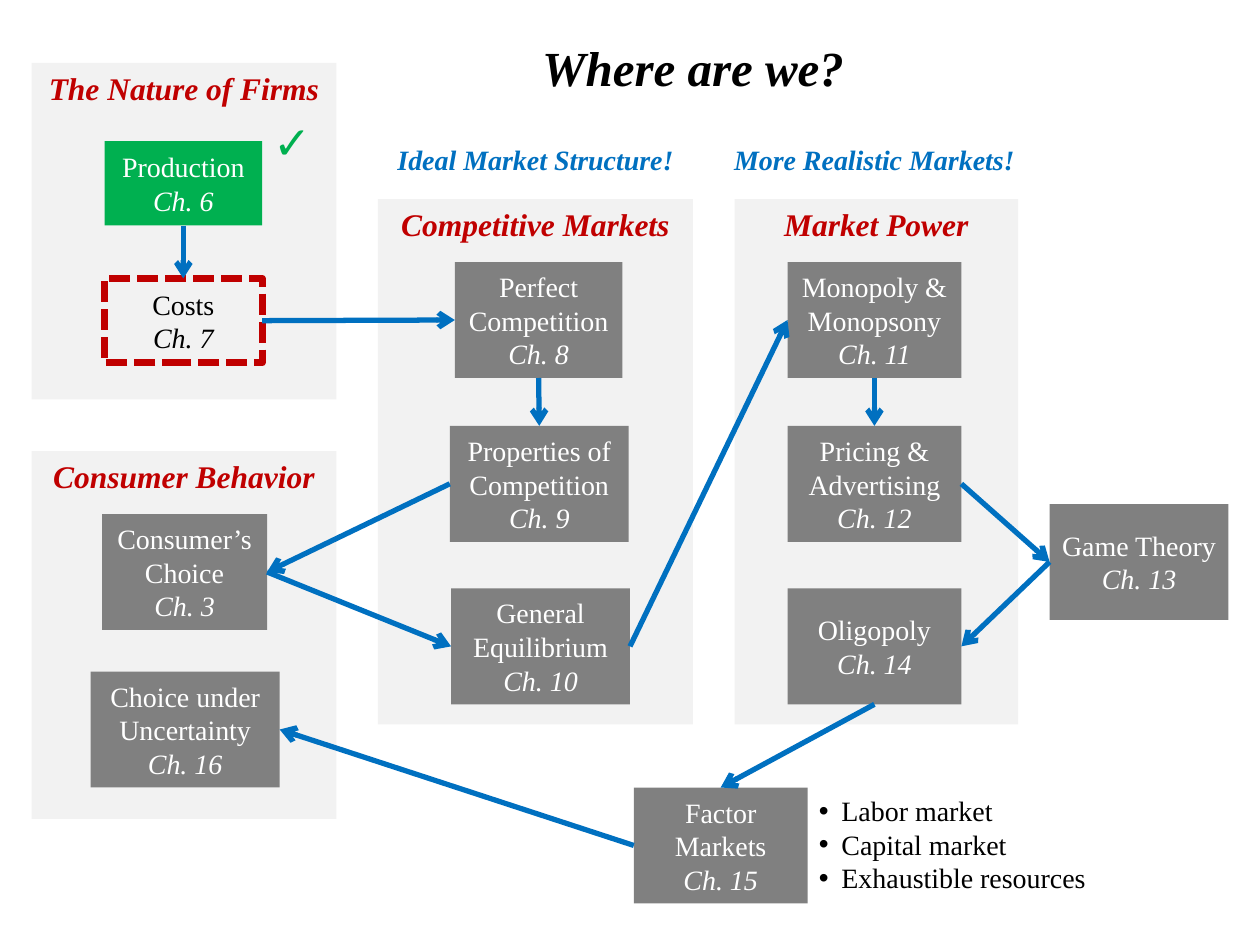
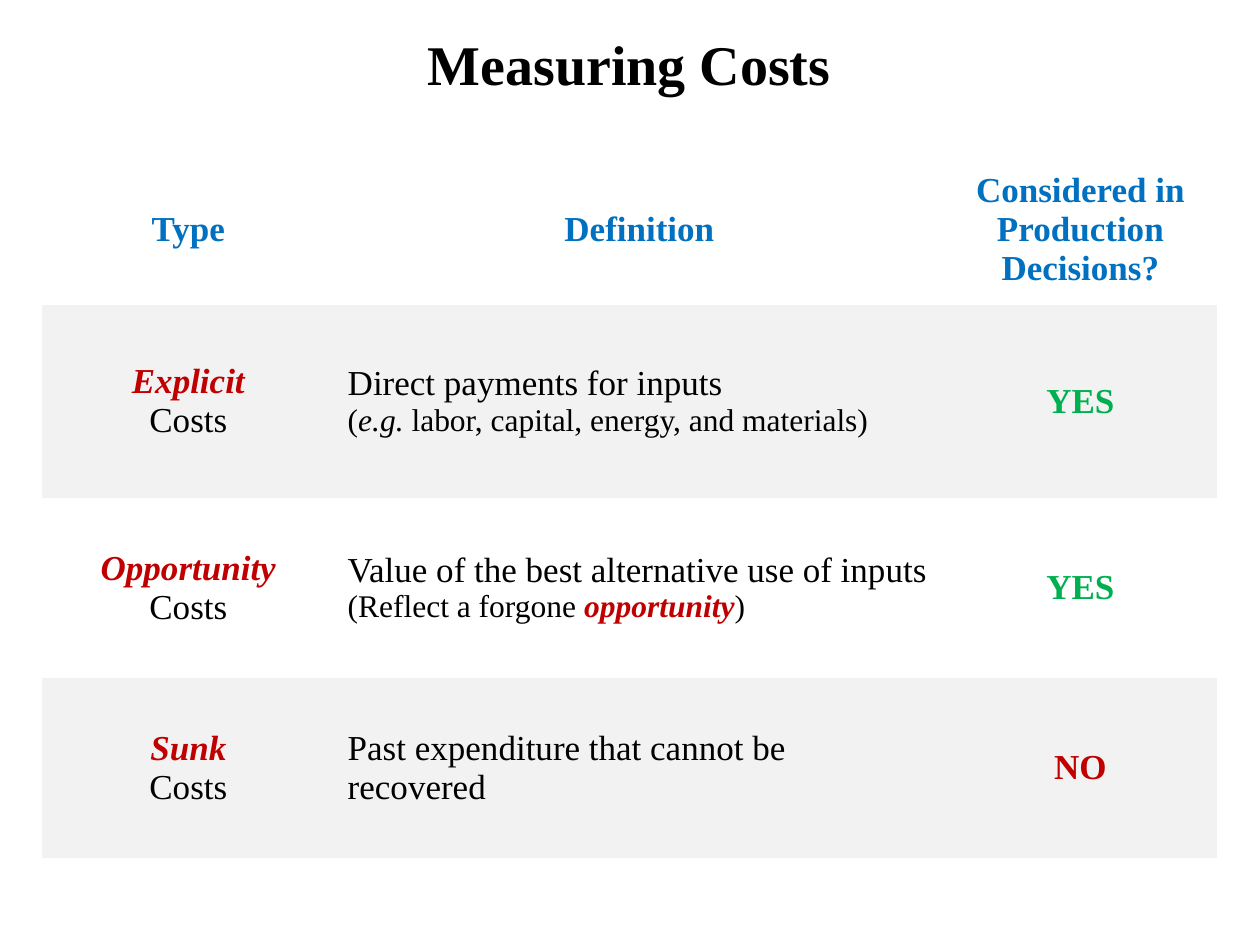
import pptx
import pptx.dml.color
import pptx.enum.dml
import pptx.enum.shapes
import pptx.enum.text
import pptx.oxml.ns
import pptx.util
from lxml import etree

Inches = pptx.util.Inches
RGBColor = pptx.dml.color.RGBColor
PP_ALIGN = pptx.enum.text.PP_ALIGN
MSO_ANCHOR = pptx.enum.text.MSO_ANCHOR
qn = pptx.oxml.ns.qn

BLACK = RGBColor(0x00, 0x00, 0x00)
WHITE = RGBColor(0xFF, 0xFF, 0xFF)
RED = RGBColor(0xC0, 0x00, 0x00)
GREEN = RGBColor(0x00, 0xB0, 0x50)
BLUE = RGBColor(0x00, 0x70, 0xC0)
GRAY = RGBColor(0x80, 0x80, 0x80)
PALE = RGBColor(0xF2, 0xF2, 0xF2)
SERIF = "Times New Roman"
NO_STYLE = "{2D5ABB26-0587-4C30-8999-92F81FD0307C}"


def write(tf, *paragraphs, size=16, color=BLACK, bold=False, italic=False,
          font=SERIF, align=PP_ALIGN.CENTER, bullet=None):
    for i, runs in enumerate(paragraphs):
        p = tf.paragraphs[0] if i == 0 else tf.add_paragraph()
        if bullet:
            pPr = p._p.get_or_add_pPr()
            pPr.set("marL", str(Inches(0.18)))
            pPr.set("indent", str(-Inches(0.18)))
            etree.SubElement(pPr, qn("a:buFont")).set("typeface", "Arial")
            etree.SubElement(pPr, qn("a:buChar")).set("char", bullet)
        p.alignment = align
        for run in [runs] if isinstance(runs, str) else runs:
            text, own = (run, {}) if isinstance(run, str) else run
            r = p.add_run()
            r.text = text
            r.font.name = font
            r.font.size = pptx.util.Pt(own.get("size", size))
            r.font.bold = own.get("bold", bold)
            r.font.italic = own.get("italic", italic)
            r.font.color.rgb = own.get("color", color)


def add_box(s, at, fill=None, anchor=MSO_ANCHOR.MIDDLE):
    sp = s.shapes.add_shape(pptx.enum.shapes.MSO_SHAPE.RECTANGLE, *map(Inches, at))
    sp.shadow.inherit = False
    sp.line.fill.background()
    if fill is None:
        sp.fill.background()
    else:
        sp.fill.solid()
        sp.fill.fore_color.rgb = fill
    sp.text_frame.word_wrap = True
    sp.text_frame.vertical_anchor = anchor
    return sp


prs = pptx.Presentation()
prs.slide_width, prs.slide_height = Inches(10), Inches(7.5)
blank = prs.slide_layouts[6]

s = prs.slides.add_slide(blank)

panels = [
    ("The Nature of Firms", (0.25, 0.5, 2.42, 2.67)),
    ("Consumer Behavior", (0.25, 3.58, 2.42, 2.92)),
    ("Competitive Markets", (3, 1.58, 2.5, 4.17)),
    ("Market Power", (5.83, 1.58, 2.25, 4.17)),
]
for name, at in panels:
    sp = add_box(s, at, PALE, MSO_ANCHOR.TOP)
    write(sp.text_frame, name, size=18, color=RED, bold=True, italic=True)

ROWS = (2.08, 3.38, 4.67)
TALL, SHORT = 0.92, 0.67
chapters = [
    (6, "Production", (0.83, 1.12, 1.25, SHORT)),
    (7, "Costs", (0.83, 2.21, 1.25, SHORT)),
    (8, "Perfect Competition", (3.61, ROWS[0], 1.33, TALL)),
    (9, "Properties of Competition", (3.57, ROWS[1], 1.42, TALL)),
    (10, "General Equilibrium", (3.58, ROWS[2], 1.42, TALL)),
    (3, "Consumer’s Choice", (0.81, 4.08, 1.31, TALL)),
    (11, "Monopoly & Monopsony", (6.25, ROWS[0], 1.38, TALL)),
    (12, "Pricing & Advertising", (6.25, ROWS[1], 1.38, TALL)),
    (13, "Game Theory", (8.33, 4, 1.42, TALL)),
    (14, "Oligopoly", (6.25, ROWS[2], 1.38, TALL)),
    (15, "Factor Markets", (5.03, 6.25, 1.38, TALL)),
    (16, "Choice under Uncertainty", (0.72, 5.33, 1.5, TALL)),
]
DONE, CURRENT = 6, 7
boxes = {}
for number, name, at in chapters:
    sp = add_box(s, at, {DONE: GREEN, CURRENT: None}.get(number, GRAY))
    if number == CURRENT:
        sp.line.color.rgb = RED
        sp.line.width = pptx.util.Pt(4)
        sp.line.dash_style = pptx.enum.dml.MSO_LINE.SQUARE_DOT
    write(sp.text_frame, name, [(f"Ch. {number}", {"italic": True})],
          color=BLACK if number == CURRENT else WHITE)
    boxes[number] = sp

TOP, LEFT, BOTTOM, RIGHT = range(4)
arrows = [
    (6, BOTTOM, 7, TOP),
    (7, RIGHT, 8, LEFT),
    (8, BOTTOM, 9, TOP),
    (9, LEFT, 3, RIGHT),
    (3, RIGHT, 10, LEFT),
    (10, RIGHT, 11, LEFT),
    (11, BOTTOM, 12, TOP),
    (12, RIGHT, 13, LEFT),
    (13, LEFT, 14, RIGHT),
    (14, BOTTOM, 15, TOP),
    (15, LEFT, 16, RIGHT),
]
for start, start_side, end, end_side in arrows:
    c = s.shapes.add_connector(pptx.enum.shapes.MSO_CONNECTOR.STRAIGHT, 0, 0, 0, 0)
    c.begin_connect(boxes[start], start_side)
    c.end_connect(boxes[end], end_side)
    c.line.color.rgb = BLUE
    c.line.width = pptx.util.Pt(3)
    etree.SubElement(c.line._get_or_add_ln(), qn("a:tailEnd")).set("type", "arrow")
    etree.SubElement(c._element.spPr, qn("a:effectLst"))

heading = dict(color=BLUE, bold=True, italic=True)
labels = [
    (["Where are we?"], (3.16, 0.25, 4.68, 0.57), dict(size=28, bold=True, italic=True)),
    (["Ideal Market Structure!"], (2.99, 1.08, 2.52, 0.37), heading),
    (["More Realistic Markets!"], (5.68, 1.08, 2.52, 0.37), heading),
    (["✓"], (2.07, 0.86, 0.42, 0.54), dict(size=26, color=GREEN, font="Arial")),
    (["Labor market", "Capital market", "Exhaustible resources"],
     (6.4, 6.25, 2.68, 0.91), dict(align=PP_ALIGN.LEFT, bullet="•")),
]
for lines, at, fmt in labels:
    tf = s.shapes.add_textbox(*map(Inches, at)).text_frame
    tf.word_wrap = True
    write(tf, *lines, **fmt)

s = prs.slides.add_slide(blank)
tf = s.shapes.add_textbox(Inches(0.33), 0, Inches(9.33), Inches(1)).text_frame
tf.word_wrap = True
tf.vertical_anchor = MSO_ANCHOR.MIDDLE
tf.margin_left = tf.margin_right = tf.margin_top = tf.margin_bottom = 0
write(tf, "Measuring Costs", size=32, bold=True)

small = {"size": 18}
costs = [
    ("Explicit",
     ["Direct payments for inputs",
      [("(", small), ("e.g.", {"size": 18, "italic": True}),
       (" labor, capital, energy, and materials)", small)]],
     "YES"),
    ("Opportunity",
     ["Value of the best alternative use of inputs",
      [("(Reflect a forgone ", small),
       ("opportunity", {"size": 18, "color": RED, "bold": True, "italic": True}),
       (")", small)]],
     "YES"),
    ("Sunk", ["Past expenditure that cannot be recovered"], "NO"),
]
widths = (2.33, 4.83, 2.17)
heights = (1.19, 1.53, 1.43, 1.43)
table = s.shapes.add_table(len(heights), len(widths), Inches(0.33), Inches(1.23),
                           Inches(sum(widths)), Inches(sum(heights))).table
table.first_row = table.horz_banding = False
table._tbl.tblPr.find(qn("a:tableStyleId")).text = NO_STYLE
for column, width in zip(table.columns, widths):
    column.width = Inches(width)
for i, height in enumerate(heights):
    table.rows[i].height = Inches(height)
    for cell in table.rows[i].cells:
        cell.vertical_anchor = MSO_ANCHOR.MIDDLE
        if i % 2:
            cell.fill.solid()
            cell.fill.fore_color.rgb = PALE
        else:
            cell.fill.background()

titles = ("Type", "Definition", "Considered in Production Decisions?")
for cell, title in zip(table.rows[0].cells, titles):
    write(cell.text_frame, title, size=20, color=BLUE, bold=True)
for i, (kind, definition, answer) in enumerate(costs, 1):
    kind_run = (kind, {"color": RED, "bold": True, "italic": True})
    write(table.cell(i, 0).text_frame, [kind_run], "Costs", size=20)
    write(table.cell(i, 1).text_frame, *definition, size=20, align=PP_ALIGN.LEFT)
    write(table.cell(i, 2).text_frame, answer, size=20, bold=True,
          color=GREEN if answer == "YES" else RED)

prs.save("out.pptx")
